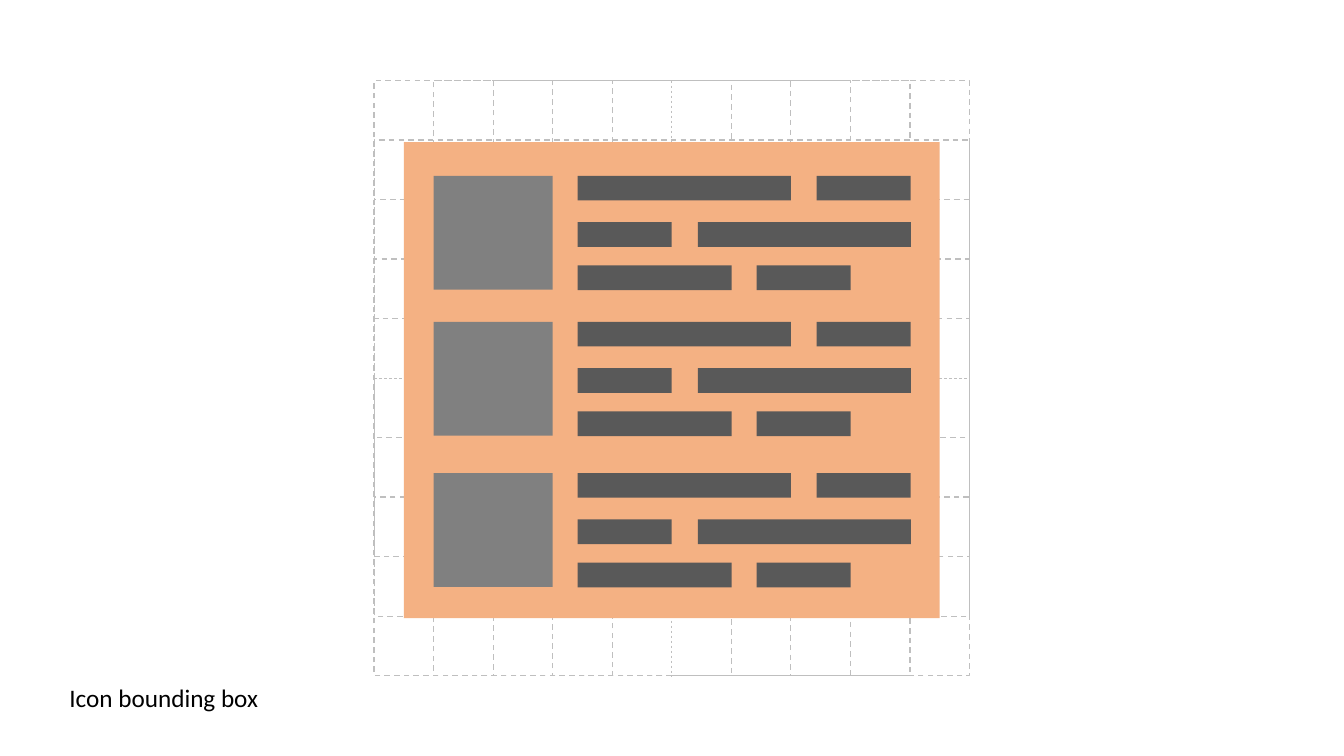
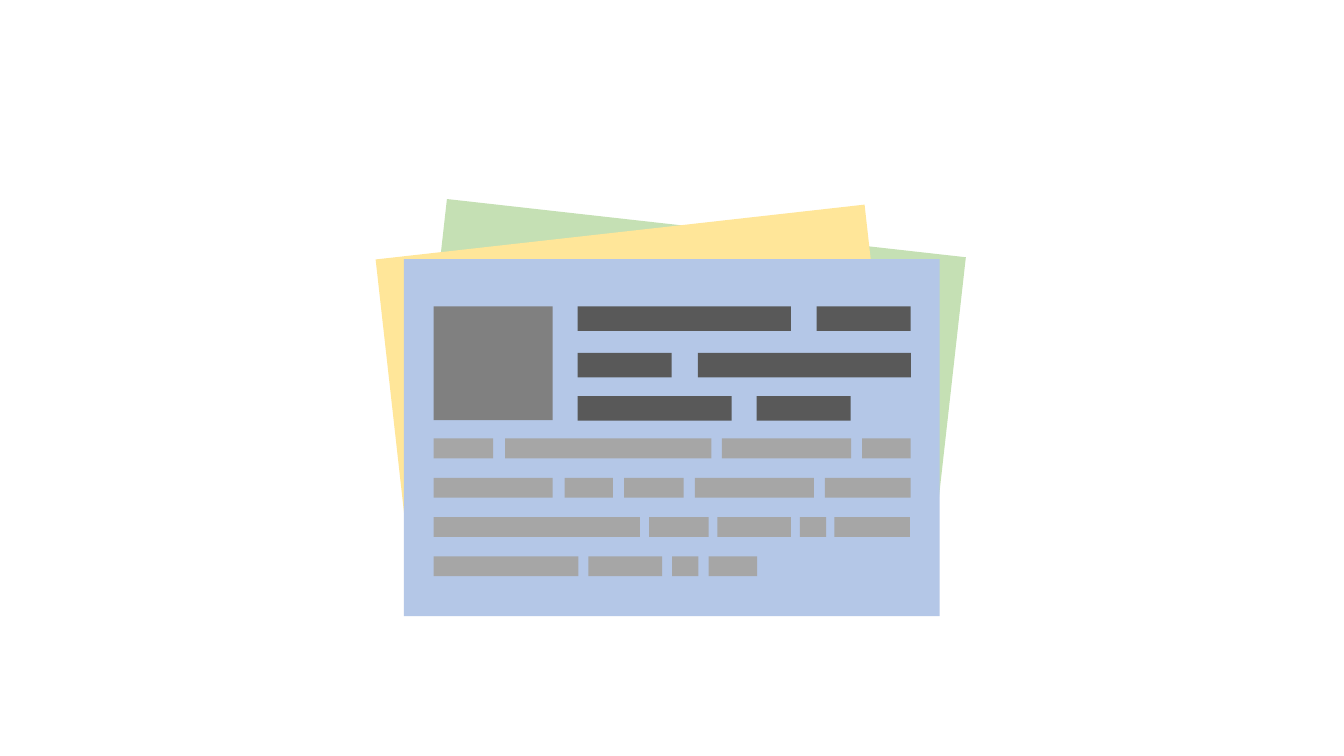
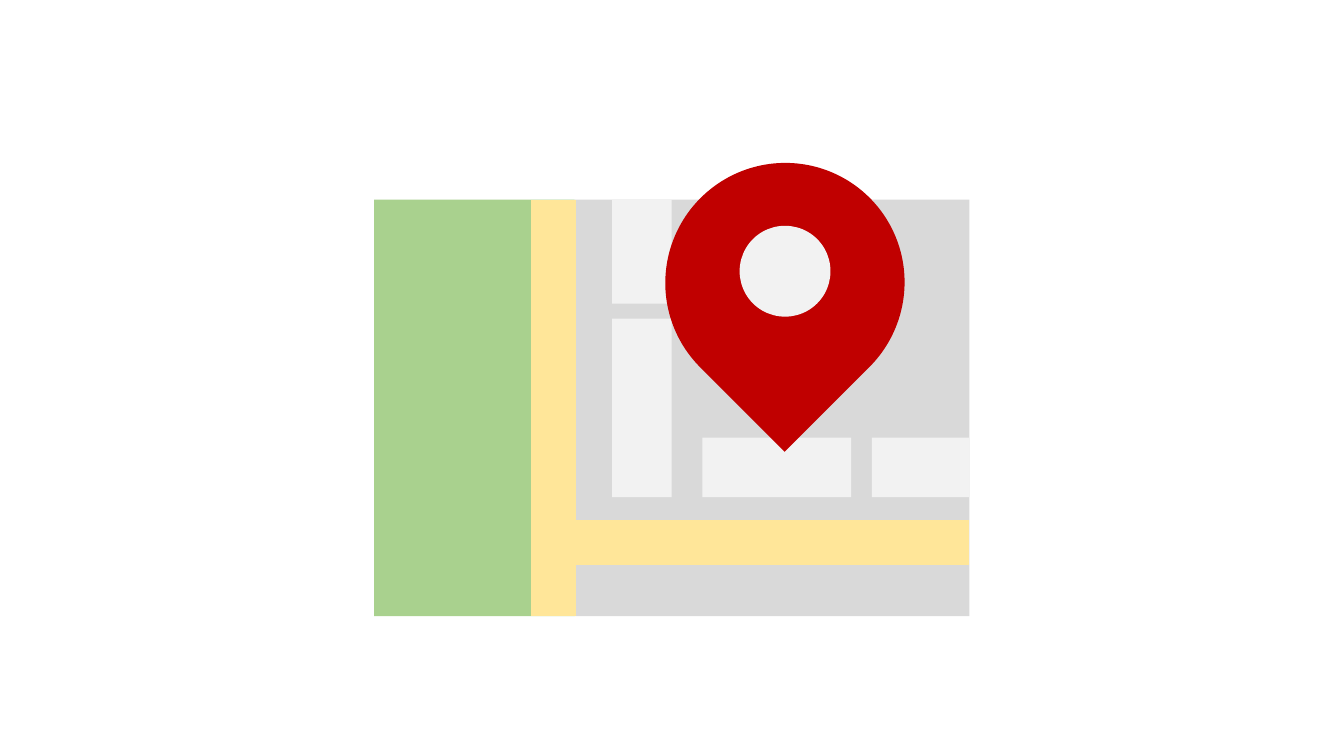
from dataclasses import dataclass

from lxml import etree
from pptx import Presentation
from pptx.dml.color import RGBColor
from pptx.enum.dml import MSO_LINE
from pptx.enum.shapes import MSO_CONNECTOR, MSO_SHAPE
from pptx.enum.text import MSO_AUTO_SIZE
from pptx.oxml.ns import qn
from pptx.util import Cm, Pt


@dataclass(frozen=True)
class Theme:
    guide: str = "BFBFBF"
    list_panel: str = "F4B183"
    photo: str = "808080"
    heading_bar: str = "595959"
    text_bar: str = "A6A6A6"
    green_card: str = "C5E0B4"
    yellow_card: str = "FFE699"
    blue_card: str = "B4C7E7"
    park: str = "A9D18E"
    land: str = "D9D9D9"
    road: str = "FFE699"
    building: str = "F2F2F2"
    pin: str = "C00000"
    caption: str = "000000"
    font: str = "Calibri"
    caption_size: int = 18
    guide_width: float = 1
    axis_width: float = 0.5
    road_width: float = 32


@dataclass(frozen=True)
class Box:
    """A region in centimetres."""
    left: float
    top: float
    width: float
    height: float

    def inner(self, dx, dy, width, height):
        return Box(self.left + dx, self.top + dy, width, height)

    def lengths(self):
        return [Cm(n) for n in (self.left, self.top, self.width, self.height)]


THEME = Theme()
SLIDE_WIDTH, SLIDE_HEIGHT = 33.87, 19.05
CELL = 1.5
ICON = Box(9.43, 2.03, 10 * CELL, 10 * CELL)

# Contact entry: photo size, then (dx, dy, width) of each heading bar
PHOTO_WIDTH, PHOTO_HEIGHT = 3, 2.87
HEADING_HEIGHT = 0.62
HEADING_BARS = [
    (3.63, 0, 5.37), (9.65, 0, 2.37),
    (3.63, 1.17, 2.37), (6.66, 1.17, 5.37),
    (3.63, 2.26, 3.88), (8.14, 2.26, 2.37),
]

# Body text of the card: (dx, width) of each word bar, line by line
TEXT_HEIGHT, TEXT_PITCH = 0.5, 0.99
TEXT_LINES = [
    [(0, 1.5), (1.8, 5.2), (7.26, 3.26), (10.8, 1.22)],
    [(0, 3), (3.3, 1.22), (4.8, 1.5), (6.58, 3), (9.86, 2.16)],
    [(0, 5.2), (5.43, 1.5), (7.15, 1.85), (9.23, 0.66), (10.1, 1.9)],
    [(0, 3.65), (3.9, 1.86), (6.01, 0.66), (6.93, 1.22)],
]

BUILDINGS = [
    (6, 3, 1.5, 4.5), (6, 0, 1.5, 2.62),
    (8.27, 6, 3.75, 1.5), (12.54, 6, 2.46, 1.5),
]


def add_area(slide, box, color, kind=MSO_SHAPE.RECTANGLE, rotation=0):
    area = slide.shapes.add_shape(kind, *box.lengths())
    area.shadow.inherit = False
    area.rotation = rotation
    area.fill.solid()
    area.fill.fore_color.rgb = RGBColor.from_string(color)
    area.line.fill.background()


def style_line(line, color, width, dash=None):
    line.color.rgb = RGBColor.from_string(color)
    for name, value in {"width": Pt(width), "dash_style": dash}.items():
        setattr(line, name, value)


def add_line(slide, start, end, color, width, dash=None):
    ends = [Cm(n) for n in (*start, *end)]
    connector = slide.shapes.add_connector(MSO_CONNECTOR.STRAIGHT, *ends)
    style_line(connector.line, color, width, dash)
    etree.SubElement(connector._element.spPr, qn("a:effectLst"))


def add_guide_grid(slide, box):
    """Nested dashed frames, upright and turned, with two centre axes."""
    for inset in range(5):
        margin = inset * CELL
        frame = box.inner(margin, 0, box.width - 2 * margin, box.height)
        for rotation in (0, 90) if inset else (0,):
            guide = slide.shapes.add_shape(MSO_SHAPE.RECTANGLE, *frame.lengths())
            guide.shadow.inherit = False
            guide.rotation = rotation
            guide.fill.background()
            style_line(guide.line, THEME.guide, THEME.guide_width, MSO_LINE.DASH)

    middle_x, middle_y = box.left + box.width / 2, box.top + box.height / 2
    axes = [
        ((middle_x, box.top), (middle_x, box.top + box.height)),
        ((box.left, middle_y), (box.left + box.width, middle_y)),
    ]
    for start, end in axes:
        add_line(slide, start, end, THEME.guide, THEME.axis_width, MSO_LINE.DASH)


def add_caption(slide, box, wording):
    caption = slide.shapes.add_textbox(*box.lengths())
    frame = caption.text_frame
    frame.word_wrap = False
    frame.auto_size = MSO_AUTO_SIZE.SHAPE_TO_FIT_TEXT
    run = frame.paragraphs[0].add_run()
    run.text = wording
    font_format = {"name": THEME.font, "size": Pt(THEME.caption_size)}
    for name, value in font_format.items():
        setattr(run.font, name, value)
    run.font.color.rgb = RGBColor.from_string(THEME.caption)


def add_contact(slide, box):
    """A photo with three rows of heading bars beside it."""
    add_area(slide, box.inner(0, 0, PHOTO_WIDTH, PHOTO_HEIGHT), THEME.photo)
    for dx, dy, width in HEADING_BARS:
        add_area(slide, box.inner(dx, dy, width, HEADING_HEIGHT), THEME.heading_bar)


def add_body_text(slide, box):
    for row, words in enumerate(TEXT_LINES):
        for dx, width in words:
            word = box.inner(dx, row * TEXT_PITCH, width, TEXT_HEIGHT)
            add_area(slide, word, THEME.text_bar)


def build_list_slide(slide, box):
    add_guide_grid(slide, box)
    add_caption(slide, Box(1.5, 17.07, 5.33, 1.02), "Icon bounding box")
    panel = box.inner(0.75, 1.55, 13.5, 12)
    add_area(slide, panel, THEME.list_panel)
    for dy in (0.85, 4.53, 8.34):
        add_contact(slide, panel.inner(0.75, dy, 12, PHOTO_HEIGHT))


def build_cards_slide(slide, box):
    # Two tilted cards behind the front one
    add_area(slide, box.inner(1.29, 3.69, 13.16, 9), THEME.green_card, rotation=6.4)
    add_area(slide, box.inner(0.5, 3.79, 12.4, 9), THEME.yellow_card, rotation=353.6)
    # Front card
    card = box.inner(0.75, 4.5, 13.5, 9)
    add_area(slide, card, THEME.blue_card)
    add_contact(slide, card.inner(0.75, 1.19, 12, PHOTO_HEIGHT))
    add_body_text(slide, card.inner(0.75, 4.52, 12, 3.5))


def build_map_slide(slide, box):
    area = box.inner(0, 3, 15, 10.5)
    right, bottom = area.left + area.width, area.top + area.height
    park_width = 5.05

    # Ground
    add_area(slide, area.inner(0, 0, park_width, area.height), THEME.park)
    land = area.inner(park_width, 0, area.width - park_width, area.height)
    add_area(slide, land, THEME.land)

    # Roads
    avenue_x, street_y = area.left + 4.52, area.top + 8.65
    roads = [
        ((avenue_x, area.top), (avenue_x, bottom)),
        ((right, street_y), (land.left, street_y)),
    ]
    for start, end in roads:
        add_line(slide, start, end, THEME.road, THEME.road_width)

    for building in BUILDINGS:
        add_area(slide, area.inner(*building), THEME.building)

    # Pin, with its point turned down
    pin = area.inner(7.33, -0.92, 6.04, 6.02)
    add_area(slide, pin, THEME.pin, MSO_SHAPE.TEAR, rotation=135)
    add_area(slide, pin.inner(1.88, 1.58, 2.29, 2.29), THEME.building, MSO_SHAPE.OVAL)


def main():
    deck = Presentation()
    deck.slide_width, deck.slide_height = Cm(SLIDE_WIDTH), Cm(SLIDE_HEIGHT)
    blank = deck.slide_layouts[6]
    for build in (build_list_slide, build_cards_slide, build_map_slide):
        build(deck.slides.add_slide(blank), ICON)
    deck.save("out.pptx")


if __name__ == "__main__":
    main()
